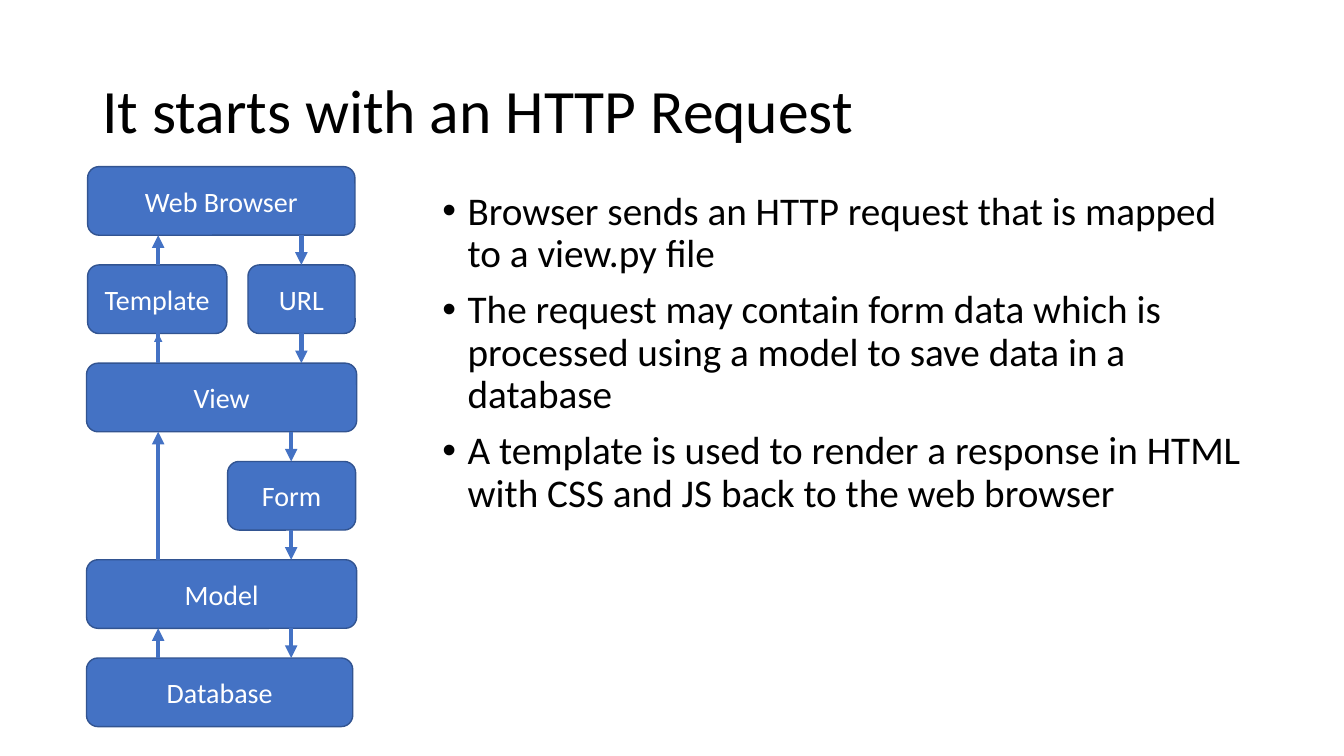
from dataclasses import dataclass

from lxml.etree import SubElement
from pptx import Presentation
from pptx.dml.color import RGBColor
from pptx.enum.shapes import MSO_CONNECTOR, MSO_SHAPE
from pptx.enum.text import MSO_ANCHOR, PP_ALIGN
from pptx.oxml.ns import qn
from pptx.slide import Slide
from pptx.text.text import TextFrame
from pptx.util import Pt

BLACK = RGBColor(0x00, 0x00, 0x00)
WHITE = RGBColor(0xFF, 0xFF, 0xFF)
BLUE = RGBColor(0x44, 0x72, 0xC4)
DARK_BLUE = RGBColor(0x32, 0x54, 0x91)
FONT = "Calibri"

FIRST_ROW_TOP = 119
ROW_PITCH = 70.2
BOX_HEIGHT = 49
RESPONSE_X = 113
URL_X = 215.3
FORM_X = 208

TITLE = "It starts with an HTTP Request"
BULLETS = [
    "Browser sends an HTTP request that is mapped to a view.py file",
    "The request may contain form data which is processed using a model "
    "to save data in a database",
    "A template is used to render a response in HTML with CSS and JS "
    "back to the web browser",
]


@dataclass
class Box:
    label: str
    row: int
    left: float
    width: float


@dataclass
class Arrow:
    x: float
    start_row: int
    end_row: int
    weight: float = 3
    overlap: float = 0


BOXES = [
    Box("Web Browser", 0, 62.6, 191),
    Box("Template", 1, 62.6, 99.5),
    Box("URL", 1, 177.1, 76.5),
    Box("View", 2, 61.8, 193),
    Box("Form", 3, 162.6, 91.5),
    Box("Model", 4, 61.8, 193),
    Box("Database", 5, 61.8, 190.2),
]

ARROWS = [
    Arrow(RESPONSE_X, 1, 0),
    Arrow(RESPONSE_X, 2, 1, weight=0.5),
    Arrow(RESPONSE_X, 4, 2),
    Arrow(RESPONSE_X, 5, 4),
    Arrow(RESPONSE_X, 2, 1, overlap=12.5),
    Arrow(URL_X, 0, 1),
    Arrow(URL_X, 1, 2),
    Arrow(FORM_X, 2, 3),
    Arrow(FORM_X, 3, 4),
    Arrow(FORM_X, 4, 5),
]


def row_top(row: int) -> float:
    return FIRST_ROW_TOP + row * ROW_PITCH


def row_bottom(row: int) -> float:
    return row_top(row) + BOX_HEIGHT


def add_text_frame(slide: Slide, left: float, top: float, width: float, height: float) -> TextFrame:
    text_frame = slide.shapes.add_textbox(Pt(left), Pt(top), Pt(width), Pt(height)).text_frame
    text_frame.word_wrap = True
    return text_frame


def style_paragraphs(text_frame: TextFrame, size: float, color: RGBColor) -> None:
    for paragraph in text_frame.paragraphs:
        paragraph.font.name = FONT
        paragraph.font.size = Pt(size)
        paragraph.font.color.rgb = color


def add_title(slide: Slide) -> None:
    text_frame = add_text_frame(slide, 66, 29, 828, 104.4)
    text_frame.vertical_anchor = MSO_ANCHOR.MIDDLE
    text_frame.text = TITLE
    text_frame.paragraphs[0].line_spacing = 0.9
    style_paragraphs(text_frame, 44, BLACK)


def add_bullets(slide: Slide) -> None:
    text_frame = add_text_frame(slide, 309, 133, 585.4, 357)
    text_frame.text = "\n".join(BULLETS)
    for paragraph in text_frame.paragraphs:
        paragraph.line_spacing = 0.9
        paragraph.space_before = Pt(10)
        properties = paragraph._p.get_or_add_pPr()
        properties.set("marL", str(Pt(18)))
        properties.set("indent", str(Pt(-18)))
        SubElement(properties, qn("a:buFont"), typeface="Arial")
        SubElement(properties, qn("a:buChar"), char="•")
    style_paragraphs(text_frame, 28, BLACK)


def add_box(slide: Slide, box: Box) -> None:
    shape = slide.shapes.add_shape(
        MSO_SHAPE.ROUNDED_RECTANGLE,
        Pt(box.left), Pt(row_top(box.row)), Pt(box.width), Pt(BOX_HEIGHT),
    )
    shape.shadow.inherit = False
    shape.fill.solid()
    shape.fill.fore_color.rgb = BLUE
    shape.line.color.rgb = DARK_BLUE
    shape.line.width = Pt(1)
    text_frame = shape.text_frame
    text_frame.word_wrap = True
    text_frame.vertical_anchor = MSO_ANCHOR.MIDDLE
    text_frame.text = box.label
    text_frame.paragraphs[0].alignment = PP_ALIGN.CENTER
    text_frame.paragraphs[0].space_before = Pt(4)
    style_paragraphs(text_frame, 20, WHITE)


def add_arrow(slide: Slide, arrow: Arrow) -> None:
    """Join the facing edges of two rows, running into the end box by the overlap."""
    if arrow.start_row < arrow.end_row:
        start, end = row_bottom(arrow.start_row), row_top(arrow.end_row) + arrow.overlap
    else:
        start, end = row_top(arrow.start_row), row_bottom(arrow.end_row) - arrow.overlap
    connector = slide.shapes.add_connector(
        MSO_CONNECTOR.STRAIGHT, Pt(arrow.x), Pt(start), Pt(arrow.x), Pt(end)
    )
    connector.line.color.rgb = BLUE
    connector.line.width = Pt(arrow.weight)
    SubElement(connector.line._get_or_add_ln(), qn("a:tailEnd"), type="triangle")
    SubElement(connector._element.spPr, qn("a:effectLst"))


def main() -> None:
    presentation = Presentation()
    presentation.slide_width = Pt(960)
    presentation.slide_height = Pt(540)
    slide = presentation.slides.add_slide(presentation.slide_layouts[6])
    add_title(slide)
    add_bullets(slide)
    for box in BOXES:
        add_box(slide, box)
    for arrow in ARROWS:
        add_arrow(slide, arrow)
    presentation.save("out.pptx")


if __name__ == "__main__":
    main()
